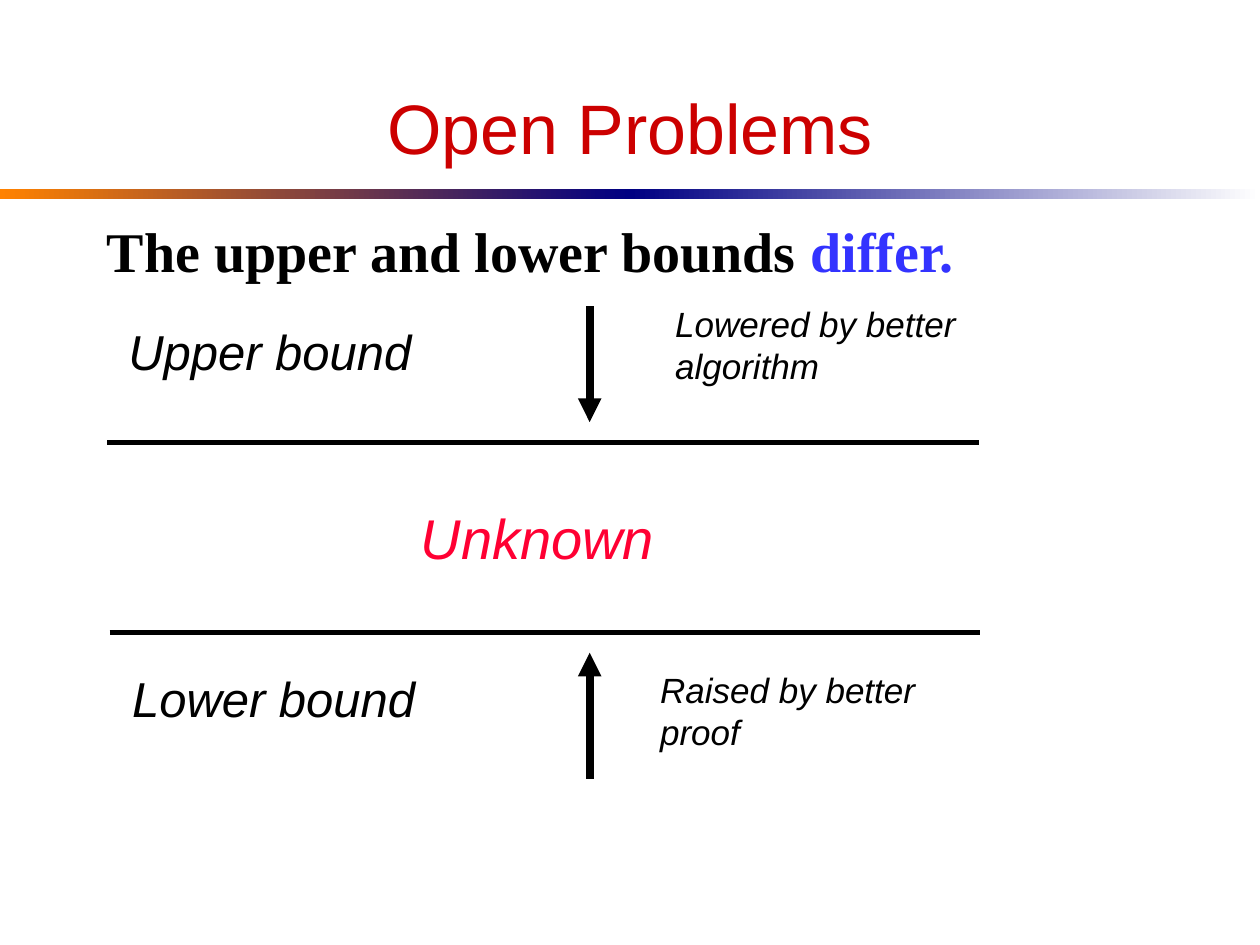
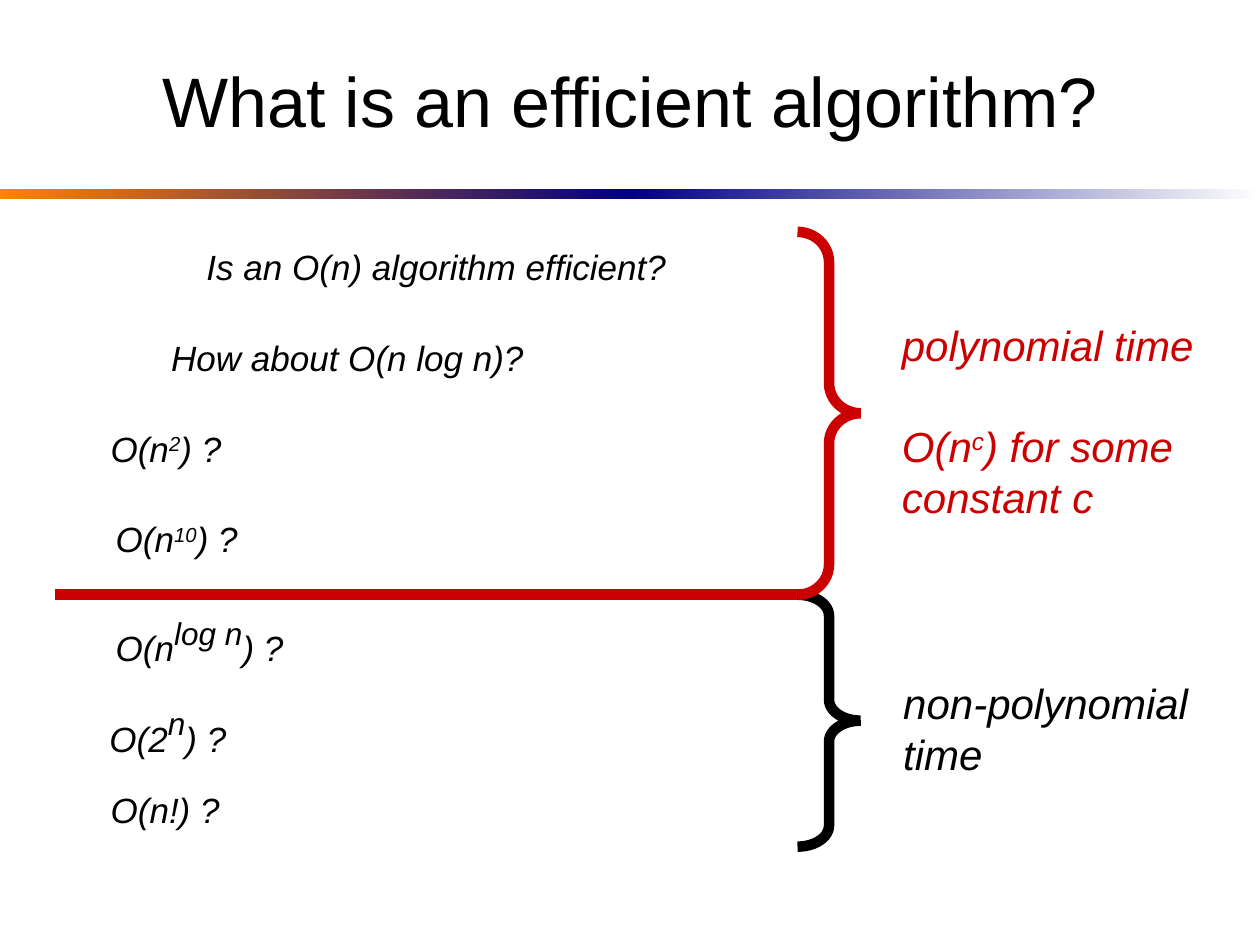
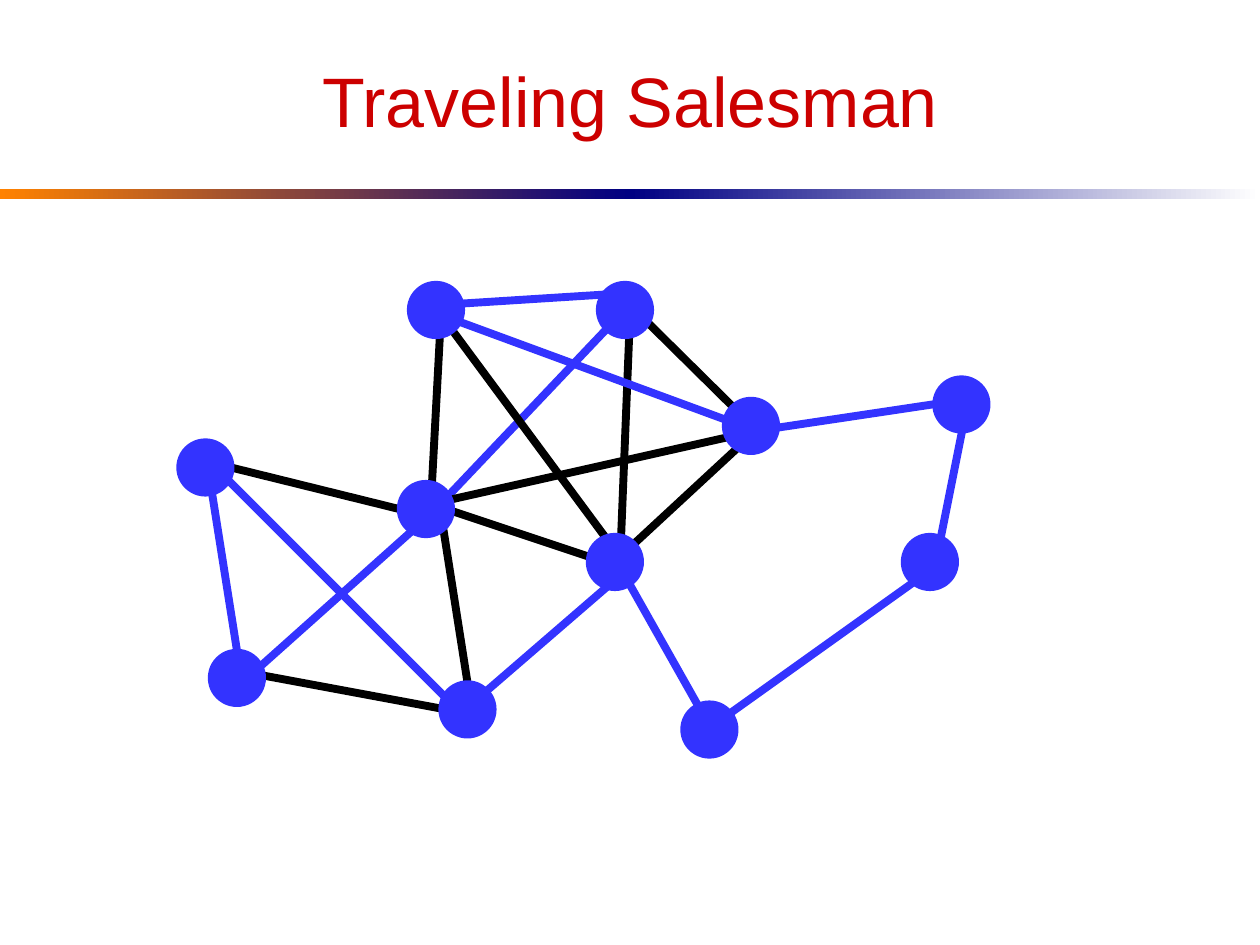
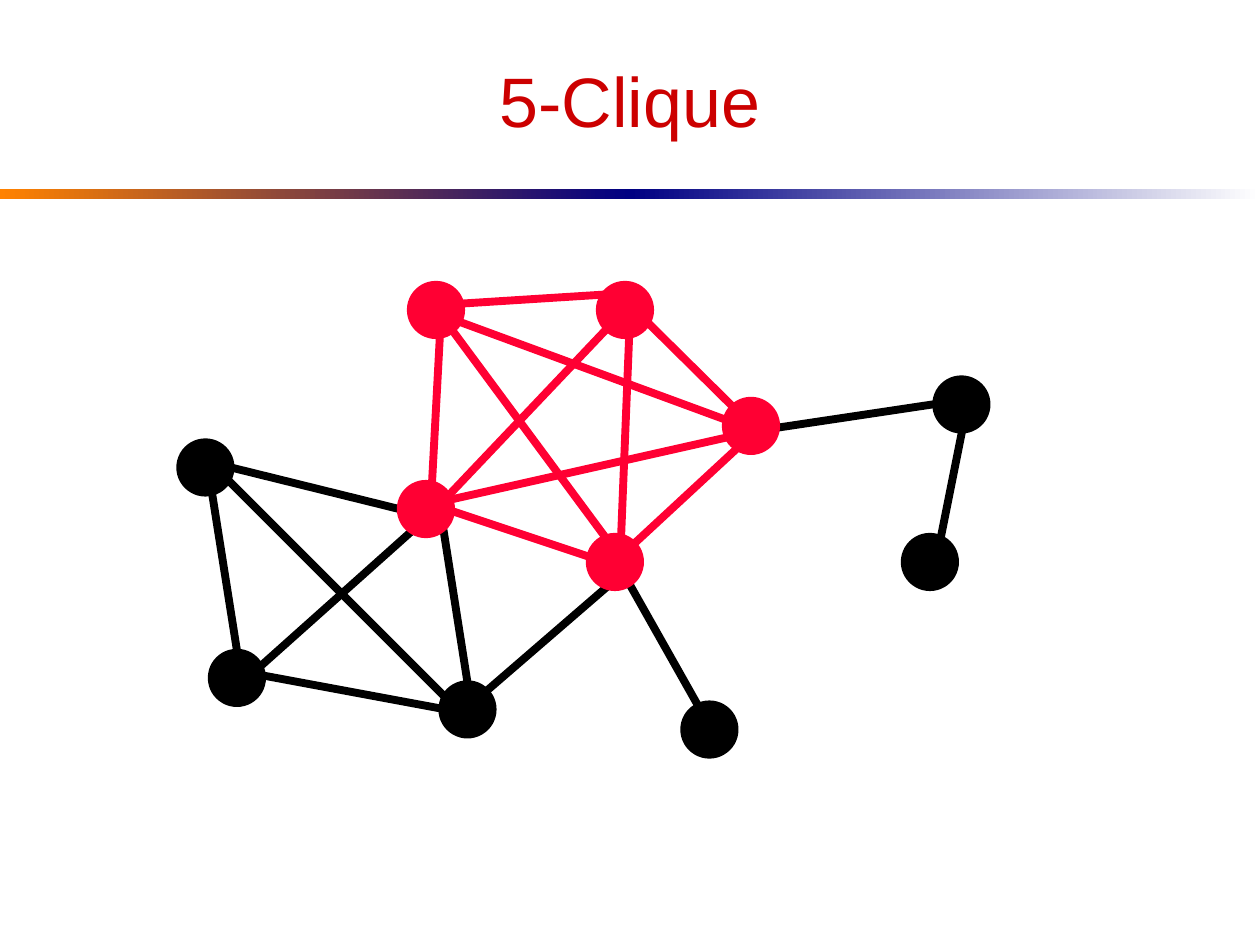
from dataclasses import dataclass
from typing import Any, NamedTuple, Optional

from lxml import etree
from pptx import Presentation
from pptx.dml.color import RGBColor
from pptx.enum.shapes import MSO_CONNECTOR, MSO_SHAPE
from pptx.enum.text import MSO_ANCHOR, MSO_AUTO_SIZE, PP_ALIGN
from pptx.oxml.ns import qn
from pptx.util import Inches, Pt

RECT = MSO_SHAPE.RECTANGLE
OVAL = MSO_SHAPE.OVAL
BRACE = MSO_SHAPE.RIGHT_BRACE
STRAIGHT = MSO_CONNECTOR.STRAIGHT
TOP = MSO_ANCHOR.TOP
MIDDLE = MSO_ANCHOR.MIDDLE
LEFT = PP_ALIGN.LEFT
CENTER = PP_ALIGN.CENTER
GROW = MSO_AUTO_SIZE.SHAPE_TO_FIT_TEXT
FIXED = MSO_AUTO_SIZE.NONE

BLACK = RGBColor(0x00, 0x00, 0x00)
WHITE = RGBColor(0xFF, 0xFF, 0xFF)
RED = RGBColor(0xCC, 0x00, 0x00)
ROSE = RGBColor(0xFF, 0x00, 0x33)
BLUE = RGBColor(0x33, 0x33, 0xFF)
NAVY = RGBColor(0x00, 0x00, 0x82)
ORANGE = RGBColor(0xFF, 0x82, 0x00)

SANS = "Arial"
SERIF = "Times New Roman"
DOT = 0.42
SLACK = 0.06


class Box(NamedTuple):
    left: float
    top: float
    width: float
    height: float


class Part(NamedTuple):
    words: str
    color: Optional[RGBColor] = None
    size: Optional[float] = None
    raised: bool = False


@dataclass(frozen=True)
class Label:
    box: Box
    rows: list[list[Part]]
    size: float = 20
    color: RGBColor = BLACK
    gap: float = 0


@dataclass(frozen=True)
class Node:
    left: float
    top: float
    clique: bool = False


@dataclass(frozen=True)
class Edge:
    start: tuple[float, float]
    end: tuple[float, float]
    tour: bool = False
    clique: bool = False


HEAD = Box(0.5, 0.25, 9, 1.08)

BOUNDS = [
    Label(Box(0.92, 2.5, 2.44, 0.57), [[Part("Upper bound")]], 28),
    Label(Box(5.26, 2.35, 2.43, 0.77), [[Part("Lowered by better\nalgorithm")]]),
    Label(Box(0.95, 5.26, 2.44, 0.57), [[Part("Lower bound")]], 28),
    Label(Box(5.14, 5.26, 2.22, 0.77), [[Part("Raised by better\nproof")]]),
    Label(Box(3.24, 3.95, 2.05, 0.64), [[Part("Unknown")]], 32, ROSE),
]

TIMES = [
    Label(Box(7.06, 2.49, 2.51, 1.7), [
        [Part("polynomial time")],
        [Part("O(n"), Part("c", raised=True), Part(") for some")],
        [Part("constant c")],
    ], 24, RED, 28.8),
    Label(Box(7.07, 5.33, 2.46, 0.9), [[Part("non-polynomial")], [Part("time")]], 24),
    Label(Box(1.54, 1.9, 3.85, 0.44), [[Part("Is an O(n) algorithm efficient?")]]),
    Label(Box(1.26, 2.62, 3, 0.44), [[Part("How about O(n log n)?")]]),
    Label(Box(0.78, 3.34, 1.08, 0.44),
          [[Part("O(n"), Part("2", raised=True), Part(") ?")]]),
    Label(Box(0.82, 4.06, 1.17, 0.44),
          [[Part("O(n"), Part("10", raised=True), Part(") ?")]]),
    Label(Box(0.82, 4.77, 1.53, 0.62),
          [[Part("O(n"), Part("log n", size=31, raised=True), Part(") ?")]]),
    Label(Box(0.77, 5.49, 1.13, 0.62),
          [[Part("O(2"), Part("n", size=31, raised=True), Part(") ?")]]),
    Label(Box(0.78, 6.21, 1.06, 0.44), [[Part("O(n!) ?")]]),
]

NODES = [
    Node(3.25, 2.25, True),
    Node(4.75, 2.25, True),
    Node(5.75, 3.17, True),
    Node(4.67, 4.25, True),
    Node(3.17, 3.83, True),
    Node(1.42, 3.5),
    Node(1.67, 5.17),
    Node(3.5, 5.42),
    Node(5.42, 5.58),
    Node(7.17, 4.25),
    Node(7.42, 3),
]

EDGES = [
    Edge((1.67, 3.83), (1.92, 5.41), tour=True),
    Edge((1.92, 5.42), (3.42, 4.08), tour=True),
    Edge((3.5, 2.5), (3.42, 4), clique=True),
    Edge((3.5, 4.08), (3.75, 5.67)),
    Edge((4.92, 4.5), (3.42, 4), clique=True),
    Edge((5, 2.5), (4.92, 4.5), clique=True),
    Edge((5.08, 2.5), (5.92, 3.33), clique=True),
    Edge((7.67, 3.25), (7.42, 4.5), tour=True),
    Edge((7.67, 3.17), (6, 3.42), tour=True),
    Edge((4.92, 2.33), (3.5, 2.42), tour=True, clique=True),
    Edge((4.92, 2.5), (3.42, 4.08), tour=True, clique=True),
    Edge((3.5, 2.5), (4.92, 4.42), clique=True),
    Edge((6, 3.42), (4.92, 4.42), clique=True),
    Edge((6, 3.42), (3.5, 2.5), tour=True, clique=True),
    Edge((3.42, 4), (6, 3.42), clique=True),
    Edge((1.67, 3.67), (3.67, 5.67), tour=True),
    Edge((3.33, 4.08), (1.67, 3.67)),
    Edge((1.92, 5.33), (3.75, 5.67)),
    Edge((5, 4.5), (3.75, 5.58), tour=True),
    Edge((4.92, 4.5), (5.67, 5.83), tour=True),
]
CLOSE = Edge((7.42, 4.5), (5.67, 5.75), tour=True)


def place(box: Box) -> list[int]:
    return [Inches(side) for side in box]


def write(slide: Any, box: Box, rows: list[list[Part]], *, size: float = 20,
          color: RGBColor = BLACK, font: str = SANS, bold: bool = False,
          italic: bool = False, align: Any = LEFT, anchor: Any = TOP,
          wrap: bool = True, gap: float = 0) -> None:
    frame = slide.shapes.add_textbox(*place(box)).text_frame
    frame.word_wrap = wrap
    frame.auto_size = FIXED if wrap else GROW
    frame.vertical_anchor = anchor
    for index, row in enumerate(rows):
        para = frame.add_paragraph() if index else frame.paragraphs[0]
        para.alignment = align
        if gap and index == 1:
            para.space_before = Pt(gap)
        for part in row:
            for count, words in enumerate(part.words.split("\n")):
                if count:
                    para.add_line_break()
                run = para.add_run()
                run.text = words
                run.font.name = font
                run.font.size = Pt(part.size or size)
                run.font.bold = bold
                run.font.italic = italic
                run.font.color.rgb = part.color or color
                if part.raised:
                    run._r.get_or_add_rPr().set("baseline", "30000")


def label(slide: Any, item: Label) -> None:
    box = item.box._replace(width=item.box.width + SLACK)
    write(slide, box, item.rows, size=item.size, color=item.color,
          italic=True, wrap=False, gap=item.gap)


def line(shapes: Any, start: tuple[float, float], end: tuple[float, float],
         color: RGBColor = BLACK, width: float = 4.5, arrow: bool = False) -> None:
    link = shapes.add_connector(STRAIGHT, *map(Inches, start + end))
    link.line.color.rgb = color
    link.line.width = Pt(width)
    if arrow:
        etree.SubElement(link.line._get_or_add_ln(), qn("a:tailEnd"), type="triangle")
    etree.SubElement(link._element.spPr, qn("a:effectLst"))


def brace(slide: Any, box: Box, color: RGBColor) -> None:
    shape = slide.shapes.add_shape(BRACE, *place(box))
    shape.shadow.inherit = False
    shape.adjustments[0] = box.height / 12 / box.width
    shape.fill.background()
    shape.line.color.rgb = color
    shape.line.width = Pt(6)
    etree.SubElement(shape.line._get_or_add_ln(), qn("a:miter"), lim="800000")


def dot(shapes: Any, node: Node, color: RGBColor) -> None:
    shape = shapes.add_shape(OVAL, *place(Box(node.left, node.top, DOT, DOT)))
    shape.shadow.inherit = False
    shape.fill.solid()
    shape.fill.fore_color.rgb = color
    shape.line.color.rgb = color
    shape.line.width = Pt(3)


def band(slide: Any, left: float, first: RGBColor, last: RGBColor) -> None:
    shape = slide.shapes.add_shape(RECT, *place(Box(left, 1.5, 5, 0.08)))
    shape.shadow.inherit = False
    shape.line.fill.background()
    shape.fill.gradient()
    shape.fill.gradient_angle = 0
    for stop, color in zip(shape.fill.gradient_stops, (first, last)):
        stop.color.rgb = color


def start(deck: Any, title: str, color: RGBColor = RED, box: Box = HEAD) -> Any:
    slide = deck.slides.add_slide(deck.slide_layouts[6])
    band(slide, 0, ORANGE, NAVY)
    band(slide, 5, NAVY, WHITE)
    write(slide, box, [[Part(title)]], size=40, color=color, align=CENTER, anchor=MIDDLE)
    return slide


def graph(slide: Any, edges: list[Edge], mark: str, hue: RGBColor, base: RGBColor) -> None:
    shapes = slide.shapes.add_group_shape().shapes
    for edge in edges:
        line(shapes, edge.start, edge.end, hue if getattr(edge, mark) else BLACK)
    for node in NODES:
        dot(shapes, node, hue if node.clique else base)


def bounds(deck: Any) -> None:
    slide = start(deck, "Open Problems", box=Box(0.75, 0.67, 8.5, 0.67))
    claim = [Part("The upper and lower bounds "), Part("differ.", BLUE)]
    write(slide, Box(0.75, 1.67, 8.5, 5), [claim], size=32, font=SERIF, bold=True)
    for item in BOUNDS:
        label(slide, item)
    line(slide.shapes, (0.85, 3.51), (7.77, 3.51), width=3)
    line(slide.shapes, (0.87, 5.02), (7.78, 5.02), width=3)
    line(slide.shapes, (4.68, 2.43), (4.68, 3.35), arrow=True)
    line(slide.shapes, (4.68, 6.18), (4.68, 5.18), arrow=True)


def times(deck: Any) -> None:
    slide = start(deck, "What is an efficient algorithm?", BLACK)
    line(slide.shapes, (0.44, 4.72), (6.41, 4.72), RED, 6)
    brace(slide, Box(6.33, 4.72, 0.5, 2), BLACK)
    brace(slide, Box(6.33, 1.84, 0.5, 2.88), RED)
    for item in TIMES:
        label(slide, item)


def main() -> None:
    deck = Presentation()
    deck.slide_width = Inches(10)
    deck.slide_height = Inches(7.5)
    bounds(deck)
    times(deck)
    graph(start(deck, "Traveling Salesman"), EDGES + [CLOSE], "tour", BLUE, BLUE)
    graph(start(deck, "5-Clique"), EDGES, "clique", ROSE, BLACK)
    deck.save("out.pptx")


if __name__ == "__main__":
    main()
